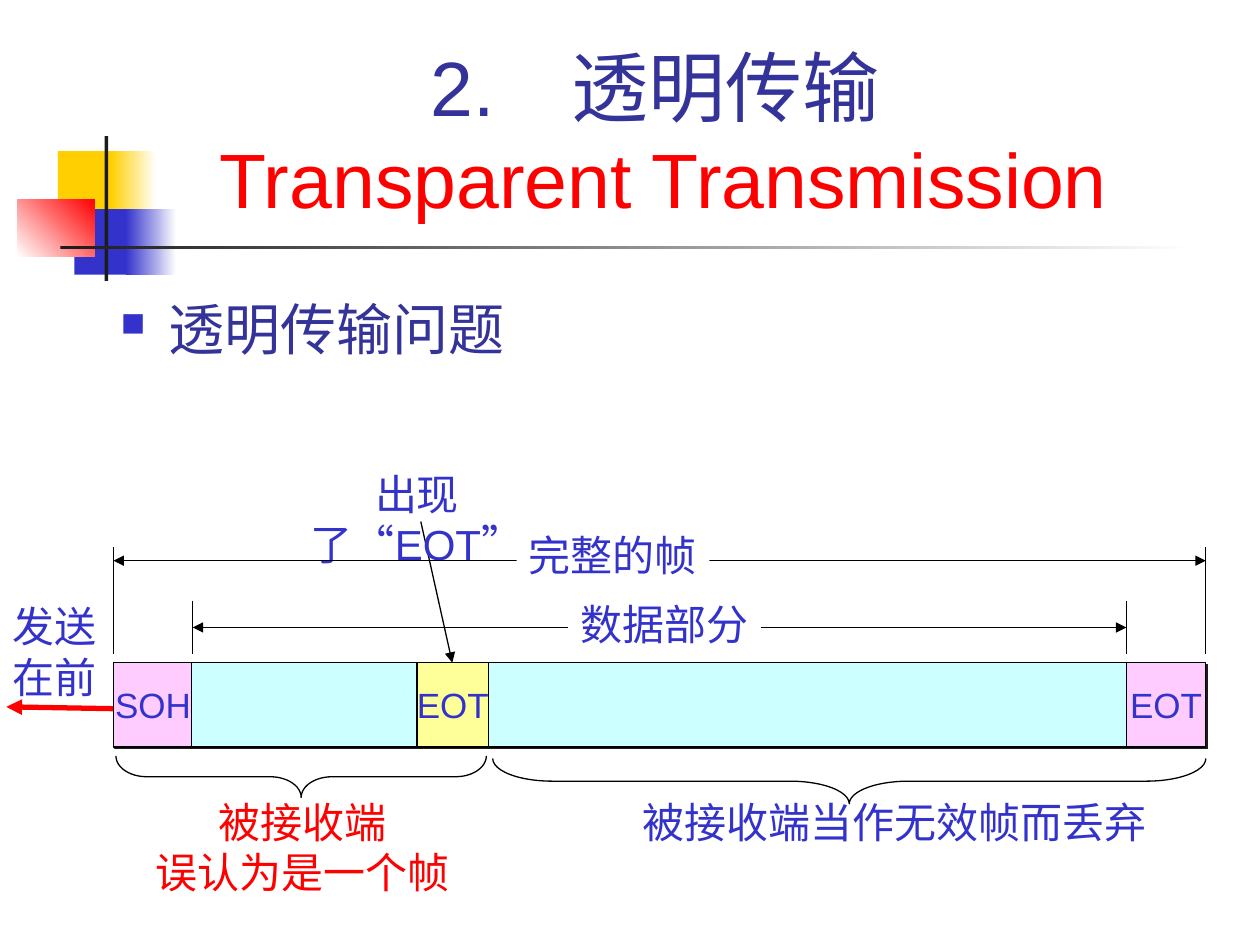
from dataclasses import dataclass
from typing import NamedTuple, Optional

from lxml.etree import SubElement
from pptx import Presentation
from pptx.dml.color import RGBColor
from pptx.enum.shapes import MSO_CONNECTOR, MSO_SHAPE
from pptx.enum.text import MSO_ANCHOR, MSO_AUTO_SIZE, PP_ALIGN
from pptx.oxml.ns import qn
from pptx.util import Emu, Inches, Pt


@dataclass(frozen=True)
class Theme:
    font: str = "Arial"
    body_font: str = "Cabin"
    title_size: int = 44
    body_size: int = 32
    label_size: int = 24
    field_size: int = 20
    navy: str = "333399"
    blue: str = "3333CC"
    red: str = "FF0000"
    yellow: str = "FFCF01"
    dark: str = "1C1C1C"
    black: str = "000000"
    white: str = "FFFFFF"
    pink: str = "FFCCFF"
    cyan: str = "CCFFFF"
    cream: str = "FFFF99"


THEME = Theme()


class Box(NamedTuple):
    left: float
    top: float
    width: float
    height: float

    def lengths(self) -> list:
        return [Inches(value) for value in self]


class Decoration(NamedTuple):
    box: Box
    color: str
    fade_to: Optional[str] = None
    angle: float = 0


class Field(NamedTuple):
    left: float
    width: float
    fill: str
    text: str = ""
    shadow: bool = True


class Label(NamedTuple):
    box: Box
    text: str
    color: str = THEME.blue
    align: PP_ALIGN = PP_ALIGN.CENTER
    fill: Optional[str] = None
    wrap: bool = False
    side_inset: float = 0.1


def rgb(color: str) -> RGBColor:
    return RGBColor.from_string(color)


def add_run(paragraph, text: str, *, size: int, color: str, font: str = THEME.font) -> None:
    run = paragraph.add_run()
    run.text = text
    run.font.size = Pt(size)
    run.font.name = font
    run.font.color.rgb = rgb(color)


def write_text(shape, text: str, *, size: int, color: str = THEME.blue, font: str = THEME.font,
               align: PP_ALIGN = PP_ALIGN.CENTER, anchor: MSO_ANCHOR = MSO_ANCHOR.TOP,
               wrap: bool = False) -> None:
    frame = shape.text_frame
    frame.word_wrap = wrap
    frame.auto_size = MSO_AUTO_SIZE.NONE
    frame.vertical_anchor = anchor
    for index, line in enumerate(text.split("\n")):
        paragraph = frame.add_paragraph() if index else frame.paragraphs[0]
        paragraph.alignment = align
        add_run(paragraph, line, size=size, color=color, font=font)


def add_rectangle(slide, box: Box, fill: str, outlined: bool = False):
    shape = slide.shapes.add_shape(MSO_SHAPE.RECTANGLE, *box.lengths())
    shape.shadow.inherit = False
    shape.fill.solid()
    shape.fill.fore_color.rgb = rgb(fill)
    if outlined:
        shape.line.color.rgb = rgb(THEME.black)
        shape.line.width = Pt(0.75)
    else:
        shape.line.fill.background()
    return shape


def add_decoration(slide, decoration: Decoration) -> None:
    shape = add_rectangle(slide, decoration.box, decoration.color)
    if decoration.fade_to:
        shape.fill.gradient()
        shape.fill.gradient_angle = decoration.angle
        for stop, color in zip(shape.fill.gradient_stops, (decoration.color, decoration.fade_to)):
            stop.color.rgb = rgb(color)


def add_field(slide, field: Field) -> None:
    shape = add_rectangle(slide, Box(field.left, 5.26, field.width, 0.67), field.fill, outlined=True)
    if field.shadow:
        effects = shape._element.spPr.find(qn("a:effectLst"))
        shadow = SubElement(effects, qn("a:outerShdw"), blurRad="0", dist=str(Pt(1.4)),
                            dir="2700000", algn="ctr", rotWithShape="0")
        SubElement(shadow, qn("a:srgbClr"), val=THEME.dark)
    if field.text:
        write_text(shape, field.text, size=THEME.field_size, anchor=MSO_ANCHOR.MIDDLE)


def add_label(slide, label: Label) -> None:
    if label.fill:
        shape = add_rectangle(slide, label.box, label.fill)
    else:
        shape = slide.shapes.add_textbox(*label.box.lengths())
    shape.text_frame.margin_left = shape.text_frame.margin_right = Inches(label.side_inset)
    write_text(shape, label.text, size=THEME.label_size, color=label.color,
               align=label.align, wrap=label.wrap)


def add_line(slide, start: tuple, end: tuple, *, color: str = THEME.black, width: float = 0.75,
             arrows: tuple = ()) -> None:
    line = slide.shapes.add_connector(MSO_CONNECTOR.STRAIGHT, *map(Inches, start + end))
    line.line.color.rgb = rgb(color)
    line.line.width = Pt(width)
    for arrow in arrows:
        SubElement(line.line._get_or_add_ln(), qn(f"a:{arrow}"), type="triangle")
    SubElement(line._element.spPr, qn("a:effectLst"))


def add_brace(slide, left: float, top: float, length: float, depth: float) -> None:
    """Draw a brace that lies below the frame and points down."""
    box = Box(left + (length - depth) / 2, top - (length - depth) / 2, depth, length)
    brace = slide.shapes.add_shape(MSO_SHAPE.RIGHT_BRACE, *box.lengths())
    brace.rotation = 90
    brace.adjustments[0] = length / 12 / depth
    brace.shadow.inherit = False
    brace.fill.background()
    brace.line.color.rgb = rgb(THEME.black)
    brace.line.width = Pt(0.75)


def add_bullet_text(slide, box: Box, text: str) -> None:
    shape = slide.shapes.add_textbox(*box.lengths())
    properties = shape.text_frame.paragraphs[0]._p.get_or_add_pPr()
    indent = Inches(0.38)
    properties.set("marL", str(indent))
    properties.set("indent", str(Emu(-indent)))
    bullet_color = SubElement(properties, qn("a:buClr"))
    SubElement(bullet_color, qn("a:srgbClr"), val=THEME.blue)
    SubElement(properties, qn("a:buSzPct"), val="60000")
    SubElement(properties, qn("a:buChar"), char="■")
    write_text(shape, text, size=THEME.body_size, color=THEME.navy, font=THEME.body_font,
               align=PP_ALIGN.LEFT, wrap=True)


DECORATIONS = (
    Decoration(Box(0.46, 1.2, 0.48, 0.52), THEME.yellow),
    Decoration(Box(0.88, 1.2, 0.36, 0.52), THEME.yellow, THEME.white),
    Decoration(Box(0.59, 1.66, 0.46, 0.52), THEME.blue),
    Decoration(Box(1, 1.66, 0.4, 0.52), THEME.blue, THEME.white),
    Decoration(Box(0.14, 1.58, 0.61, 0.46), THEME.white, THEME.red, 45),
    Decoration(Box(0.83, 1.08, 0.03, 1.15), THEME.dark),
    Decoration(Box(0.48, 1.95, 9, 0.03), THEME.dark, THEME.white),
)
FIELDS = (
    Field(0.9, 0.63, THEME.pink, "SOH"),
    Field(1.52, 7.6, THEME.cyan),
    Field(3.31, 0.57, THEME.cream, "EOT", shadow=False),
    Field(8.94, 0.63, THEME.pink, "EOT"),
)
NOTES = (
    Label(Box(2.06, 3.67, 2.5, 0.5), "出现了“EOT”", wrap=True, side_inset=0.2),
    Label(Box(5, 6.27, 4.2, 0.5), "被接收端当作无效帧而丢弃", align=PP_ALIGN.JUSTIFY),
    Label(Box(1.14, 6.27, 2.53, 0.9), "被接收端\n误认为是一个帧", THEME.red),
    Label(Box(0, 4.72, 0.86, 0.9), "发送\n在前", align=PP_ALIGN.LEFT),
)
# Each span: left, right, arrow height, top of its end ticks, label
SPANS = (
    (1.53, 8.94, 4.98, 4.77, Label(Box(4.51, 4.7, 1.53, 0.5), "数据部分", fill=THEME.white)),
    (0.9, 9.57, 4.45, 4.34, Label(Box(4.1, 4.15, 1.53, 0.5), "完整的帧", fill=THEME.white)),
)


def main() -> None:
    presentation = Presentation()
    presentation.slide_width, presentation.slide_height = Inches(10), Inches(7.5)
    slide = presentation.slides.add_slide(presentation.slide_layouts[5])

    # Corner ornament and rule
    for decoration in DECORATIONS:
        add_decoration(slide, decoration)

    # Title
    title = slide.shapes.title
    title.left, title.top, title.width, title.height = Box(1.26, 0.23, 7.88, 1.6).lengths()
    write_text(title, "2.　透明传输", size=THEME.title_size, color=THEME.navy,
               anchor=MSO_ANCHOR.BOTTOM, wrap=True)
    heading = title.text_frame.paragraphs[0]
    heading.add_line_break()
    add_run(heading, " Transparent Transmission", size=THEME.title_size, color=THEME.red)

    # Frame with its fields, sending direction and notes
    add_line(slide, (1.22, 5.63), (0.05, 5.61), color=THEME.red, width=3, arrows=("tailEnd",))
    for field in FIELDS:
        add_field(slide, field)
    add_line(slide, (3.34, 4.14), (3.59, 5.26), arrows=("tailEnd",))
    add_brace(slide, 3.91, 6.02, 5.66, 0.36)
    add_brace(slide, 0.92, 6, 2.94, 0.33)
    for note in NOTES:
        add_label(slide, note)

    # Dimension lines above the frame
    for left, right, height, tick_top, label in SPANS:
        add_line(slide, (left, height), (right, height), arrows=("headEnd", "tailEnd"))
        add_label(slide, label)
        for edge in (left, right):
            add_line(slide, (edge, tick_top), (edge, 5.19))

    add_bullet_text(slide, Box(0.86, 2.29, 8.5, 0.85), "透明传输问题")
    presentation.save("out.pptx")


if __name__ == "__main__":
    main()
